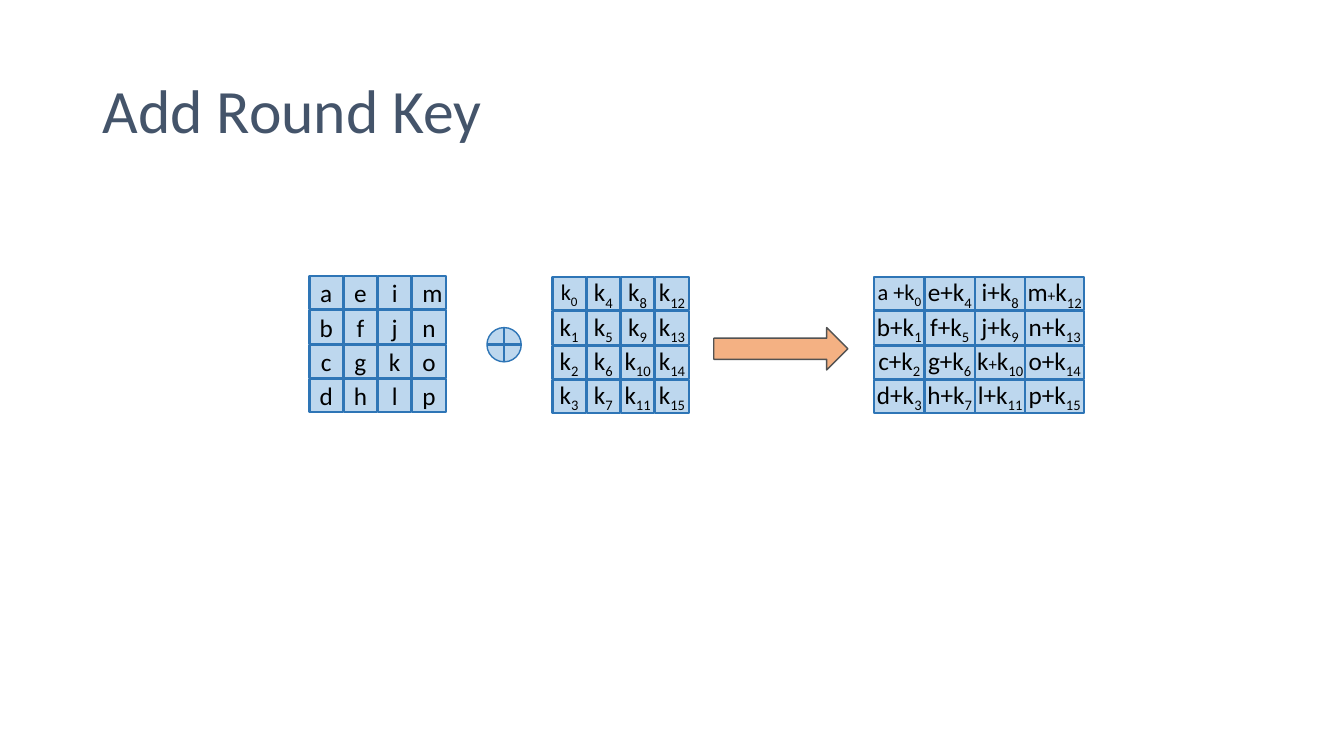
from dataclasses import dataclass

from lxml import etree
from pptx import Presentation
from pptx.dml.color import RGBColor
from pptx.enum.shapes import MSO_CONNECTOR, MSO_SHAPE
from pptx.enum.text import MSO_ANCHOR, PP_ALIGN
from pptx.oxml.ns import qn
from pptx.util import Inches, Pt

RECTANGLE, OVAL, ARROW = MSO_SHAPE.RECTANGLE, MSO_SHAPE.OVAL, MSO_SHAPE.RIGHT_ARROW
STRAIGHT = MSO_CONNECTOR.STRAIGHT
MIDDLE = MSO_ANCHOR.MIDDLE
CENTER = PP_ALIGN.CENTER


@dataclass(frozen=True)
class Theme:
    font: str = "Calibri"
    title: str = "44546A"
    text: str = "000000"
    cell: str = "BDD7EE"
    cell_line: str = "2E75B6"
    arrow: str = "F4B183"
    arrow_line: str = "525252"
    title_size: int = 44
    cell_size: int = 18
    small_size: int = 16


THEME = Theme()
ROWS = 4
ROW_PITCH = 0.34
CELL_SIZE = 0.33
TIGHT_INSETS = {"margin_left": Inches(0.01), "margin_right": Inches(0.01)}
STATE = "abcdefghijklmnop"
PLUS_SIZES = {10: 12, 12: 11}


def set_format(target, values):
    for name, value in values.items():
        setattr(target, name, value)


def add_run(paragraph, text, size, color=THEME.text, subscript=False):
    run = paragraph.add_run()
    run.text = text
    set_format(run.font, {"name": THEME.font, "size": Pt(size)})
    run.font.color.rgb = RGBColor.from_string(color)
    if subscript:
        run.font._element.set("baseline", "-25000")


def add_figure(slide, kind, box, fill, line, line_width):
    shape = slide.shapes.add_shape(kind, *map(Inches, box))
    shape.shadow.inherit = False
    shape.fill.solid()
    shape.fill.fore_color.rgb = RGBColor.from_string(fill)
    shape.line.color.rgb = RGBColor.from_string(line)
    shape.line.width = Pt(line_width)
    return shape


def add_title(slide, box, text):
    frame = slide.shapes.add_textbox(*map(Inches, box)).text_frame
    set_format(frame, {"word_wrap": True, "vertical_anchor": MIDDLE})
    paragraph = frame.paragraphs[0]
    paragraph.line_spacing = 0.9
    add_run(paragraph, text, THEME.title_size, THEME.title)


def add_matrix(slide, left, top, column_lefts, column_widths, cells, insets):
    """Fill the matrix column by column; a cell is a list of (text, size, subscript)."""
    for index, runs in enumerate(cells):
        column, row = divmod(index, ROWS)
        box = (left + column_lefts[column], top + row * ROW_PITCH,
               column_widths[column], CELL_SIZE)
        shape = add_figure(slide, RECTANGLE, box, THEME.cell, THEME.cell_line, 1.5)
        set_format(shape.text_frame, {"vertical_anchor": MIDDLE, **insets})
        paragraph = shape.text_frame.paragraphs[0]
        paragraph.alignment = CENTER
        for text, size, subscript in runs:
            add_run(paragraph, text, size, subscript=subscript)


def add_line(slide, start, end):
    line = slide.shapes.add_connector(STRAIGHT, *map(Inches, start + end))
    line.line.color.rgb = RGBColor.from_string(THEME.cell_line)
    line.line.width = Pt(1.75)
    etree.SubElement(line._element.spPr, qn("a:effectLst"))


def add_xor_sign(slide, left, top, size):
    add_figure(slide, OVAL, (left, top, size, size), THEME.cell, THEME.cell_line, 1)
    middle_x, middle_y = left + size / 2, top + size / 2
    add_line(slide, (middle_x, top), (middle_x, top + size))
    add_line(slide, (left, middle_y), (left + size, middle_y))


def key_runs(index):
    size = THEME.cell_size if index else THEME.small_size
    return [("k", size, False), (str(index), size, True)]


def sum_runs(index):
    letter, key = STATE[index], key_runs(index)
    size = key[0][1]
    if index in PLUS_SIZES:
        return [(letter, size, False), ("+", PLUS_SIZES[index], False), *key]
    plus = "+k" if index else " +k"
    return [(letter + plus, size, False), key[1]]


def build_slide(presentation):
    slide = presentation.slides.add_slide(presentation.slide_layouts[6])
    add_title(slide, (0.92, 0.4, 11.5, 1.45), "Add Round Key")

    square_lefts = [column * ROW_PITCH for column in range(4)]
    square_widths = [CELL_SIZE] * 4
    state_cells = [[(letter, THEME.cell_size, False)] for letter in STATE]
    key_cells = [key_runs(index) for index in range(len(STATE))]
    sum_cells = [sum_runs(index) for index in range(len(STATE))]

    add_matrix(slide, 3.07, 2.74, square_lefts, square_widths, state_cells, {})
    add_matrix(slide, 5.48, 2.75, square_lefts, square_widths, key_cells, TIGHT_INSETS)
    add_xor_sign(slide, 4.83, 3.25, 0.34)
    add_figure(slide, ARROW, (7.08, 3.25, 1.33, 0.42), THEME.arrow, THEME.arrow_line, 1)
    add_matrix(slide, 8.67, 2.75, [0, 0.5, 1, 1.5], [0.5, 0.5, 0.5, 0.58],
               sum_cells, TIGHT_INSETS)


def main():
    presentation = Presentation()
    set_format(presentation, {"slide_width": Inches(13.33), "slide_height": Inches(7.5)})
    build_slide(presentation)
    presentation.save("out.pptx")


if __name__ == "__main__":
    main()
